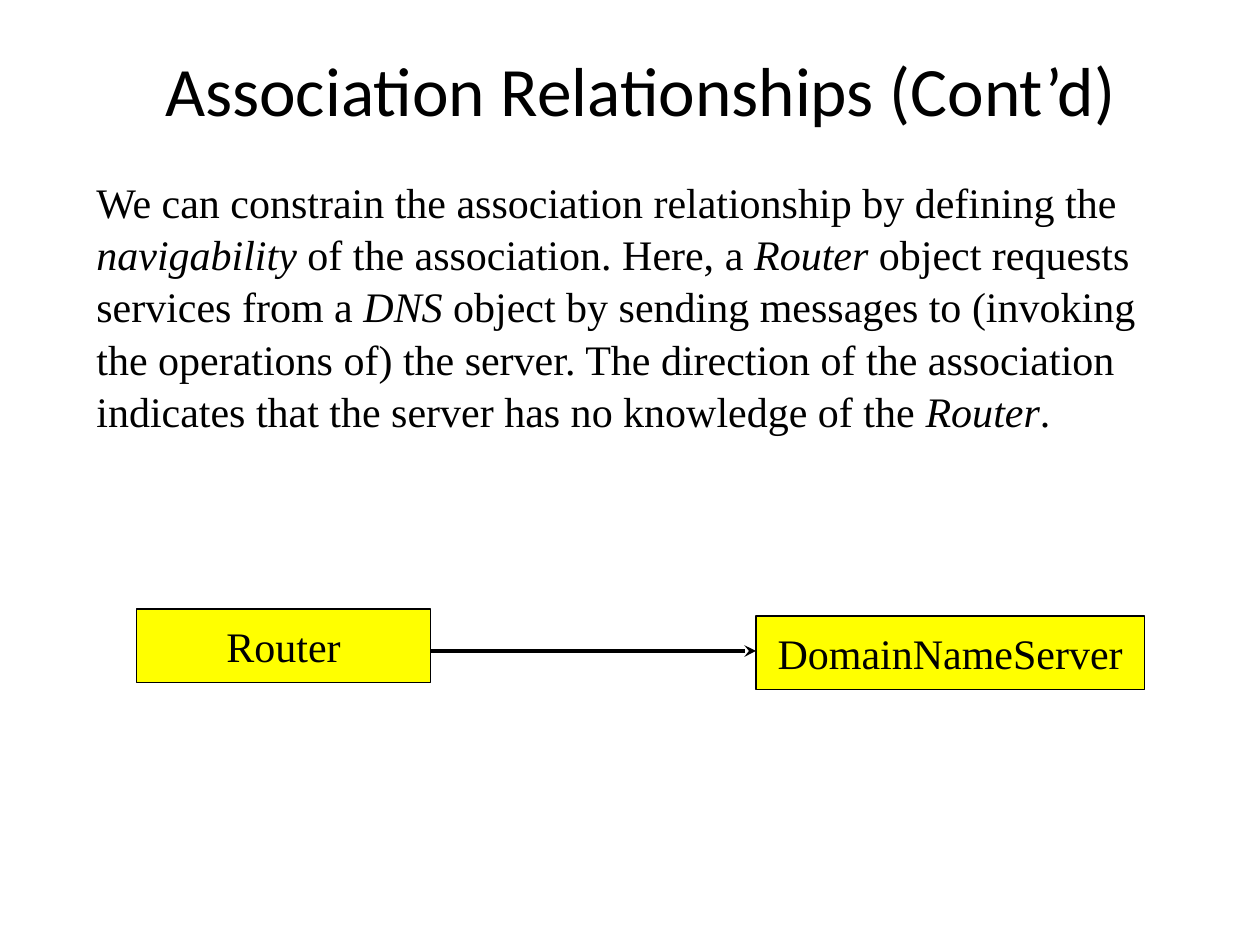
from pptx import Presentation
from pptx.dml.color import RGBColor
from pptx.enum.shapes import MSO_CONNECTOR, MSO_SHAPE
from pptx.enum.text import MSO_ANCHOR, MSO_AUTO_SIZE, PP_ALIGN
from pptx.oxml.xmlchemy import OxmlElement
from pptx.util import Pt

COLORS = {"text": "000000", "line": "000000", "box": "FFFF00"}
BODY_FONT = "Times New Roman"
EXPLANATION = [
    ("We can constrain the association relationship by defining the ", False),
    ("navigability", True),
    (" of the association. Here, a ", False),
    ("Router", True),
    (" object requests services from a ", False),
    ("DNS", True),
    (" object by sending messages to (invoking the operations of) the server. "
     "The direction of the association indicates that the server has no "
     "knowledge of the ", False),
    ("Router", True),
    (".", False),
]


def color(name):
    """Return the named colour."""
    return RGBColor.from_string(COLORS[name])


def style_font(font, name, size):
    """Set the typeface, size and text colour."""
    font.name = name
    font.size = Pt(size)
    font.color.rgb = color("text")


def add_title(slide, left, top, width, height):
    """Fill the title placeholder and place it in the given box."""
    title = slide.shapes.title
    title.left, title.top = Pt(left), Pt(top)
    title.width, title.height = Pt(width), Pt(height)
    frame = title.text_frame
    frame.text = "Association Relationships (Cont’d)"
    frame.auto_size = MSO_AUTO_SIZE.NONE
    frame.vertical_anchor = MSO_ANCHOR.MIDDLE
    paragraph = frame.paragraphs[0]
    paragraph.alignment = PP_ALIGN.CENTER
    style_font(paragraph.runs[0].font, "Calibri", 39.6)


def add_explanation(slide, left, top, width, height):
    """Write the explanation with its terms in italics."""
    box = slide.shapes.add_textbox(Pt(left), Pt(top), Pt(width), Pt(height))
    frame = box.text_frame
    frame.word_wrap = True
    paragraph = frame.paragraphs[0]
    paragraph.line_spacing = 1.04
    for text, italic in EXPLANATION:
        run = paragraph.add_run()
        run.text = text
        style_font(run.font, BODY_FONT, 24)
        run.font.italic = italic


def add_class_box(slide, name, left, top, width, height):
    """Draw a class as a filled rectangle around its name."""
    shape = slide.shapes.add_shape(
        MSO_SHAPE.RECTANGLE, Pt(left), Pt(top), Pt(width), Pt(height))
    shape.shadow.inherit = False
    shape.fill.solid()
    shape.fill.fore_color.rgb = color("box")
    shape.line.color.rgb = color("line")
    shape.line.width = Pt(0.75)
    frame = shape.text_frame
    frame.text = name
    frame.vertical_anchor = MSO_ANCHOR.MIDDLE
    paragraph = frame.paragraphs[0]
    paragraph.alignment = PP_ALIGN.CENTER
    style_font(paragraph.runs[0].font, BODY_FONT, 24)


def add_arrow(slide, start, end, y):
    """Draw a horizontal arrow from start to end."""
    arrow = slide.shapes.add_connector(
        MSO_CONNECTOR.STRAIGHT, Pt(start), Pt(y), Pt(end), Pt(y))
    arrow.line.color.rgb = color("line")
    arrow.line.width = Pt(2.25)
    arrowhead = OxmlElement("a:tailEnd")
    arrowhead.set("type", "stealth")
    arrow.line._get_or_add_ln().append(arrowhead)
    arrow._element.spPr.append(OxmlElement("a:effectLst"))


def add_association(slide, left, top, width, height):
    """Join the router to the server across the given box."""
    router_width, server_width, box_height = 168, 222, 42
    server_left = left + width - server_width
    add_arrow(slide, left + router_width, server_left, top + 24)
    add_class_box(slide, "Router", left, top, router_width, box_height)
    add_class_box(slide, "DomainNameServer", server_left,
                  top + height - box_height, server_width, box_height)


def main():
    """Build and save the slide."""
    presentation = Presentation()
    presentation.slide_width, presentation.slide_height = Pt(720), Pt(540)
    slide = presentation.slides.add_slide(presentation.slide_layouts[5])
    add_title(slide, 48, 30, 636, 42)
    add_explanation(slide, 48, 96, 638.5, 151)
    add_association(slide, 78, 348, 576, 46)
    presentation.save("out.pptx")


if __name__ == "__main__":
    main()
